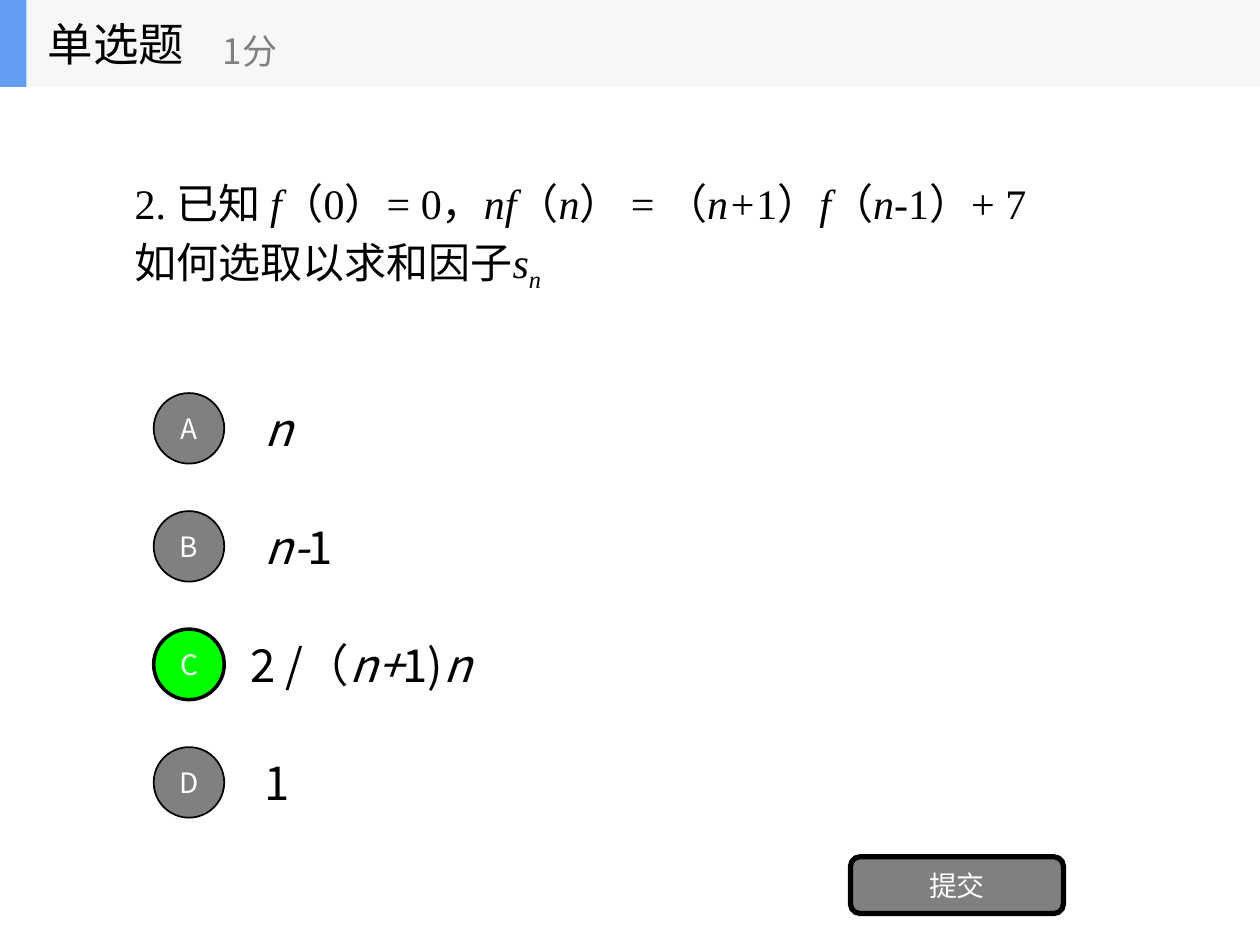
from pptx import Presentation
from pptx.dml.color import RGBColor
from pptx.enum.shapes import MSO_SHAPE as Shape
from pptx.enum.text import MSO_ANCHOR as Anchor, PP_ALIGN as Align
from pptx.oxml.ns import qn
from pptx.util import Inches, Pt

COLORS = {
    "ink": "000000",
    "paper": "FFFFFF",
    "gray": "808080",
    "correct": "00FF00",
    "band": "F6F7F8",
    "accent": "639EF4",
}
SANS = "Noto Sans CJK SC"
SERIF = "Times New Roman"

# Asterisks enclose italics; a leading underscore there marks a subscript.
QUESTION = [
    "2. 已知 *f*（0）= 0，*nf*（*n*） = （*n+*1）*f*（*n-*1）+ 7",
    "如何选取以求和因子*s**_n*",
]
# Letter, answer text, left edge of the answer, whether it is correct
OPTIONS = [
    ("A", "*n*", 2, False),
    ("B", "*n-*1", 2, False),
    ("C", "2 /（*n+*1)*n*", 1.89, True),
    ("D", "1", 2, False),
]
FIRST_TOP, LAST_TOP = 3.12, 5.93
CIRCLE = 0.56


def color(name):
    return RGBColor.from_string(COLORS[name])


def add_spans(para, text, size, font, ink):
    for index, part in enumerate(text.split("*")):
        if not part:
            continue
        span = para.add_run()
        span.text = part.removeprefix("_")
        span.font.size = Pt(size)
        span.font.name = font
        span.font.italic = index % 2 == 1
        span.font.color.rgb = color(ink)
        props = span.font._element
        east_asian = props.makeelement(qn("a:ea"), {"typeface": SANS})
        props.find(qn("a:latin")).addnext(east_asian)
        if part.startswith("_"):
            props.set("baseline", "-25000")


def write(shape, lines, size=26, font=SANS, ink="ink", align=Align.LEFT,
          hanging=0, before=0):
    frame = shape.text_frame
    frame.word_wrap = True
    frame.vertical_anchor = Anchor.MIDDLE
    for index, line in enumerate(lines):
        para = frame.add_paragraph() if index else frame.paragraphs[0]
        para.alignment = align
        if index:
            para.space_before = Pt(before)
        if hanging:
            props = para._p.get_or_add_pPr()
            props.set("marL", str(Inches(hanging)))
            props.set("indent", str(-Inches(hanging)))
        add_spans(para, line, size, font, ink)


def add_text(page, lines, left, top, width, height, **style):
    box = page.shapes.add_textbox(
        Inches(left), Inches(top), Inches(width), Inches(height))
    write(box, lines, **style)


def add_block(page, kind, left, top, width, height, fill, border=0, label=""):
    block = page.shapes.add_shape(
        kind, Inches(left), Inches(top), Inches(width), Inches(height))
    block.shadow.inherit = False
    block.fill.solid()
    block.fill.fore_color.rgb = color(fill)
    if border:
        block.line.color.rgb = color("ink")
        block.line.width = Pt(border)
    else:
        block.line.fill.background()
    if label:
        frame = block.text_frame
        frame.margin_left = frame.margin_right = 0
        frame.margin_top = frame.margin_bottom = 0
        write(block, [label], size=16, ink="paper", align=Align.CENTER)


def add_option(page, top, letter, answer, left, correct):
    add_text(page, [answer], left, top - 0.07, 7, 0.7)
    add_block(page, Shape.OVAL, 1.22, top, CIRCLE, CIRCLE,
              "correct" if correct else "gray", 2 if correct else 1, letter)


def main():
    deck = Presentation()
    deck.slide_width, deck.slide_height = Inches(10), Inches(7.5)
    page = deck.slides.add_slide(deck.slide_layouts[6])

    # Header band with question type and score
    add_block(page, Shape.RECTANGLE, 0, 0, 10, 0.69, "band")
    add_block(page, Shape.RECTANGLE, 0, 0, 0.21, 0.69, "accent")
    add_text(page, ["单选题"], 0.28, 0, 2.08, 0.69)
    add_text(page, ["1分"], 1.67, 0.12, 2.5, 0.56, size=20, ink="gray")

    # Question
    add_text(page, QUESTION, 0.97, 0.7, 8, 2.34, size=24, font=SERIF,
             hanging=0.38, before=4.8)

    # Answer options, evenly spaced
    step = (LAST_TOP - FIRST_TOP) / (len(OPTIONS) - 1)
    for row, option in enumerate(OPTIONS):
        add_option(page, FIRST_TOP + row * step, *option)

    # Submit button
    add_block(page, Shape.ROUNDED_RECTANGLE, 6.75, 6.8, 1.69, 0.45, "gray",
              3, "提交")

    deck.save("out.pptx")


if __name__ == "__main__":
    main()
